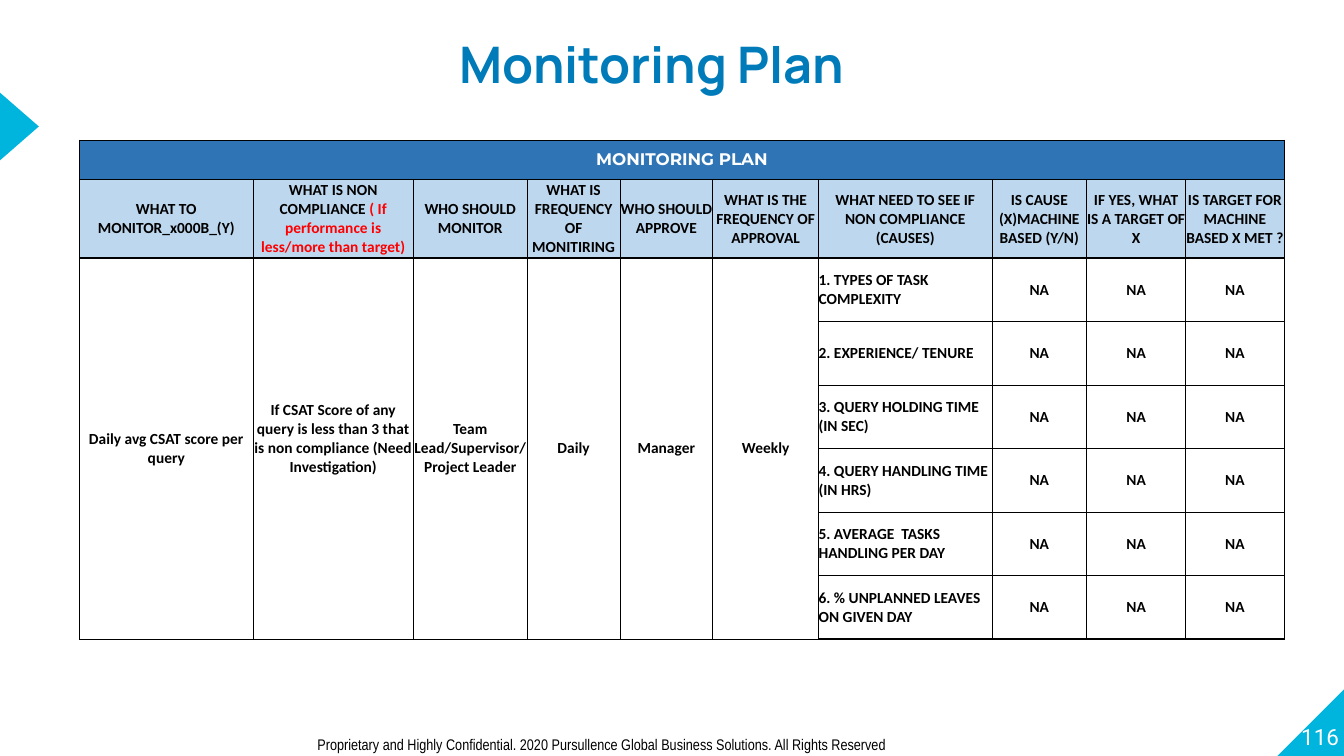
from lxml import etree
from pptx import Presentation
from pptx.dml.color import RGBColor
from pptx.enum.shapes import MSO_SHAPE
from pptx.enum.text import MSO_ANCHOR, MSO_AUTO_SIZE, PP_ALIGN
from pptx.oxml.ns import qn
from pptx.util import Inches, Pt

LEFT, CENTER, RIGHT = PP_ALIGN.LEFT, PP_ALIGN.CENTER, PP_ALIGN.RIGHT
TOP, MIDDLE, BOTTOM = MSO_ANCHOR.TOP, MSO_ANCHOR.MIDDLE, MSO_ANCHOR.BOTTOM
COLORS = {"cyan": "00B5DD", "title": "007BB9", "banner": "2F75B5", "header": "BDD7EE",
          "white": "FFFFFF", "black": "000000", "red": "FF0000"}
SIDES = ("left", "top", "right", "bottom")


def write(para, text, font, size, color, bold=False, align=LEFT):
    para.alignment = align
    span = para.add_run()
    span.text = text
    for name, value in {"name": font, "size": Pt(size), "bold": bold}.items():
        setattr(span.font, name, value)
    span.font.color.rgb = RGBColor.from_string(COLORS[color])


def add_border(cell, tag, width):
    line = etree.SubElement(cell._tc.get_or_add_tcPr(), qn(tag), w=str(Pt(width)))
    fill = etree.SubElement(line, qn("a:solidFill"))
    etree.SubElement(fill, qn("a:srgbClr"), val=COLORS["black"])


deck = Presentation()
deck.slide_width, deck.slide_height = Inches(13.33), Inches(7.5)
page = deck.slides.add_slide(deck.slide_layouts[5])

triangles = [(MSO_SHAPE.RIGHT_TRIANGLE, 12.67, 6.82, 0.68, 0.68),
             (MSO_SHAPE.ISOSCELES_TRIANGLE, -0.15, 1.06, 0.68, 0.39)]
for kind, *place in triangles:
    triangle = page.shapes.add_shape(kind, *map(Inches, place))
    triangle.shadow.inherit = False
    triangle.fill.solid()
    triangle.fill.fore_color.rgb = RGBColor.from_string(COLORS["cyan"])
    triangle.line.fill.background()
    if kind == MSO_SHAPE.RIGHT_TRIANGLE:
        triangle.element.spPr.xfrm.set("flipH", "1")
    else:
        triangle.rotation = 90

title = page.shapes.title
number = page.shapes.add_textbox(0, 0, 0, 0)
footer = page.shapes.add_textbox(0, 0, 0, 0)
texts = [
    (title, (1.61, 0.03, 9.71, 0.76), 0, TOP,
     ("Monitoring Plan", "Manrope", 36, "title", True, CENTER)),
    (number, (12.61, 6.76, 0.67, 0.68), 0, BOTTOM,
     ("116", "Roboto", 16, "white", False, RIGHT)),
    (footer, (3.05, 7.24, 8.51, 0.29), 0.1, TOP,
     ("Proprietary and Highly Confidential. 2020 Pursullence Global Business Solutions. "
      "All Rights Reserved", "Arial Narrow", 11, "black")),
]
for box, place, margin, anchor, content in texts:
    box.left, box.top, box.width, box.height = map(Inches, place)
    frame = box.text_frame
    frame.word_wrap = True
    frame.auto_size = MSO_AUTO_SIZE.NONE
    frame.vertical_anchor = anchor
    for side in SIDES:
        setattr(frame, f"margin_{side}", Inches(margin if side in ("left", "right") else margin / 2))
    write(frame.paragraphs[0], *content)
title.text_frame.paragraphs[0].line_spacing = 1.5

widths = [1.72, 1.59, 1.13, 0.92, 0.92, 1.05, 1.72, 0.94, 0.98, 0.98]
heights = [0.39, 0.78] + [0.63] * 6
headers = ["WHAT TO MONITOR\v(Y)", "WHAT IS NON COMPLIANCE ", "WHO SHOULD MONITOR",
           "WHAT IS FREQUENCY OF MONITIRING", "WHO SHOULD APPROVE",
           "WHAT IS THE FREQUENCY OF APPROVAL", "WHAT NEED TO SEE IF NON COMPLIANCE (CAUSES)",
           "IS CAUSE (X)MACHINE BASED (Y/N)", "IF YES, WHAT IS A TARGET OF X",
           "IS TARGET FOR MACHINE BASED X MET ?"]
plan = ["Daily avg CSAT score per query",
        "If CSAT Score of any query is less than 3 that is non compliance (Need Investigation)",
        "Team Lead/Supervisor/ Project Leader", "Daily", "Manager", "Weekly"]
causes = ["1. TYPES OF TASK COMPLEXITY", "2. EXPERIENCE/ TENURE",
          "3. QUERY HOLDING TIME (IN SEC)", "4. QUERY HANDLING TIME (IN HRS)",
          "5. AVERAGE  TASKS HANDLING PER DAY", "6. % UNPLANNED LEAVES ON GIVEN DAY"]
CAUSE = len(plan)
rows = [["MONITORING PLAN"] + [""] * 9, headers]
for index, cause in enumerate(causes):
    rows.append((plan if index == 0 else [""] * CAUSE) + [cause] + ["NA"] * 3)

table = page.shapes.add_table(len(rows), len(widths), Inches(0.79), Inches(1.39),
                              Inches(sum(widths)), Inches(sum(heights))).table
table.first_row = table.horz_banding = False
for column, width in zip(table.columns, widths):
    column.width = Inches(width)
for row, height in zip(table.rows, heights):
    row.height = Inches(height)
table.cell(0, 0).merge(table.cell(0, len(widths) - 1))
for column in range(CAUSE):
    table.cell(2, column).merge(table.cell(len(rows) - 1, column))

for r, row in enumerate(rows):
    for c, text in enumerate(row):
        cell = table.cell(r, c)
        cell.vertical_anchor = MIDDLE
        for side in SIDES:
            setattr(cell, f"margin_{side}", 0)
        edges = {"a:lnL": c == 0, "a:lnR": c == len(widths) - 1,
                 "a:lnT": r <= 2, "a:lnB": r <= 1 or r == len(rows) - 1}
        for tag, strong in edges.items():
            add_border(cell, tag, 1 if strong else 0.5)
        cell.fill.solid()
        shade = ("banner", "header")[r] if r < 2 else "white"
        cell.fill.fore_color.rgb = RGBColor.from_string(COLORS[shade])
        if text:
            font, size, color = ("Montserrat", 12, "white") if r == 0 else ("Calibri", 11, "black")
            align = LEFT if r > 1 and c == CAUSE else CENTER
            write(cell.text_frame.paragraphs[0], text, font, size, color, True, align)

write(table.cell(1, 1).text_frame.paragraphs[0], "( If performance is less/more than target)",
      "Calibri", 11, "red", True, CENTER)
table.cell(2, 1).margin_bottom = Inches(0.19)

deck.save("out.pptx")
